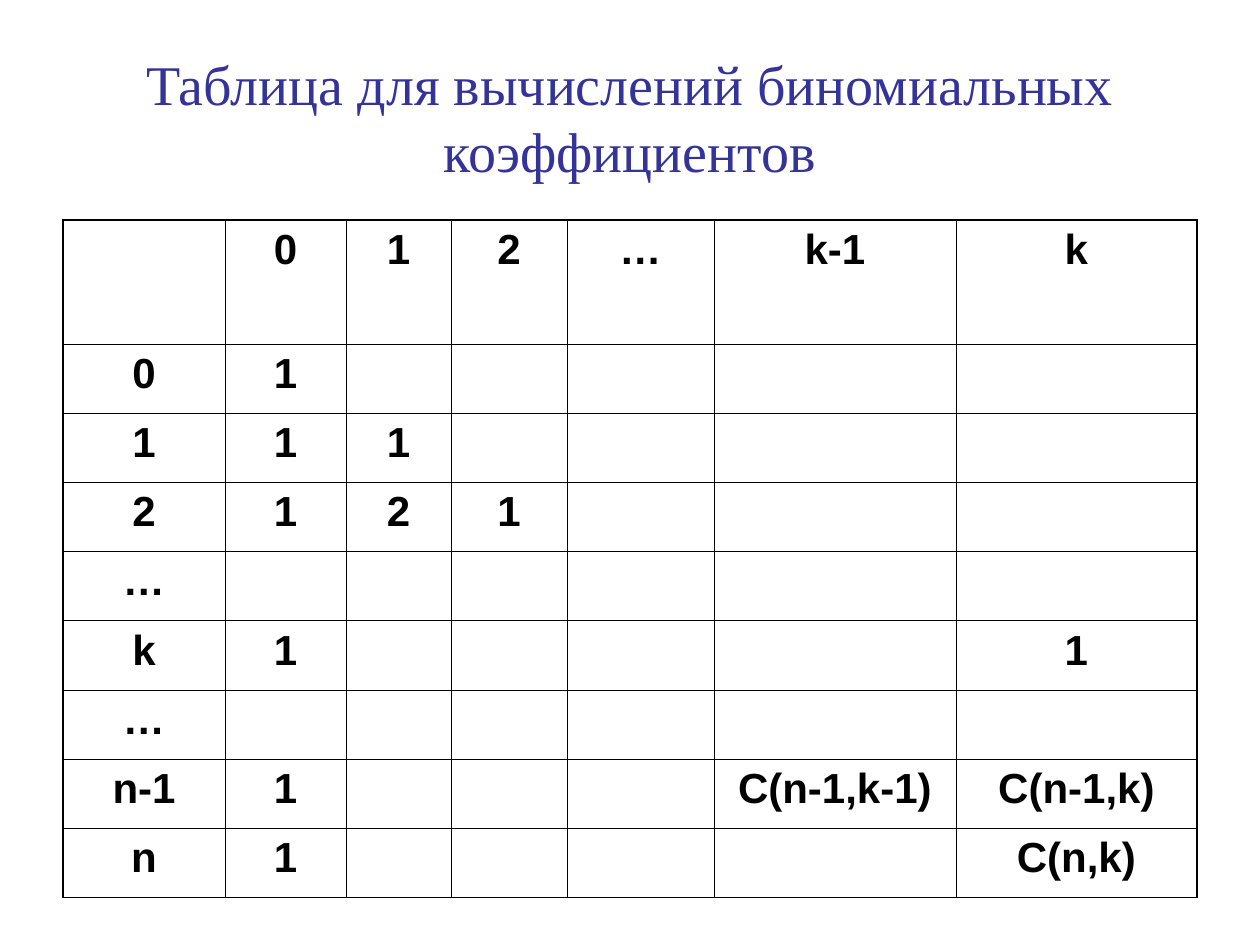
from dataclasses import dataclass

from lxml import etree
from pptx import Presentation
from pptx.dml.color import RGBColor
from pptx.enum.text import MSO_ANCHOR, MSO_AUTO_SIZE, PP_ALIGN
from pptx.oxml.ns import qn
from pptx.util import Emu, Pt

CENTER = PP_ALIGN.CENTER
MIDDLE = MSO_ANCHOR.MIDDLE
NO_AUTOFIT = MSO_AUTO_SIZE.NONE
TITLE_ONLY = 5
PX_PER_INCH = 126
SLIDE_SIZE = (1260, 945)
TITLE_BOX = (63, 38, 1134, 158)
TABLE_BOX = (63, 220, 1134, 678)

TITLE = "Таблица для вычислений биномиальных коэффициентов"
COLUMN_WIDTHS = [162, 121, 105, 116, 147, 242, 241]
HEADER_HEIGHT = 124
COEFFICIENTS = [
    ["", "0", "1", "2", "…", "k-1", "k"],
    ["0", "1", "", "", "", "", ""],
    ["1", "1", "1", "", "", "", ""],
    ["2", "1", "2", "1", "", "", ""],
    ["…", "", "", "", "", "", ""],
    ["k", "1", "", "", "", "", "1"],
    ["…", "", "", "", "", "", ""],
    ["n-1", "1", "", "", "", "C(n-1,k-1)", "C(n-1,k)"],
    ["n", "1", "", "", "", "", "C(n,k)"],
]


@dataclass(frozen=True)
class Theme:
    """Colours, fonts and sizes of the slide."""
    title_color: str = "333399"
    ink: str = "000000"
    title_font: str = "Times New Roman"
    table_font: str = "Arial"
    title_size: int = 32
    table_size: int = 24
    space_before: int = 6
    inner_line: float = 0.45
    outer_line: float = 1.08


THEME = Theme()


def px(length):
    """Turn pixels into EMU."""
    return Emu(round(length * 914400 / PX_PER_INCH))


def add_run(paragraph, text, font_name, size, color, bold):
    """Add one centred, formatted run to a paragraph."""
    paragraph.alignment = CENTER
    run = paragraph.add_run()
    run.text = text
    run.font.name = font_name
    run.font.size = Pt(size)
    run.font.bold = bold
    run.font.color.rgb = RGBColor.from_string(color)


def draw_border(cell, side, width):
    """Draw one solid border of a cell."""
    properties = cell._tc.get_or_add_tcPr()
    border = etree.SubElement(properties, qn(f"a:ln{side}"), w=str(Pt(width)))
    fill = etree.SubElement(border, qn("a:solidFill"))
    etree.SubElement(fill, qn("a:srgbClr"), val=THEME.ink)


def place_title(slide, box):
    """Place the slide title in its box."""
    title = slide.shapes.title
    title.left, title.top, title.width, title.height = map(px, box)
    frame = title.text_frame
    frame.auto_size = NO_AUTOFIT
    frame.word_wrap = True
    frame.vertical_anchor = MIDDLE
    add_run(frame.paragraphs[0], TITLE, THEME.title_font, THEME.title_size,
            THEME.title_color, False)


def fill_cell(cell, text, outer_sides):
    """Fill one cell with its text and borders."""
    for side in "LRTB":
        draw_border(cell, side, THEME.outer_line if side in outer_sides else THEME.inner_line)
    cell.fill.background()
    if text:
        entry = cell.text_frame.paragraphs[0]
        entry.space_before = Pt(THEME.space_before)
        add_run(entry, text, THEME.table_font, THEME.table_size, THEME.ink, True)


def place_coefficients(slide, box):
    """Place the table of binomial coefficients in its box."""
    row_count, column_count = len(COEFFICIENTS), len(COLUMN_WIDTHS)
    table = slide.shapes.add_table(row_count, column_count, *map(px, box)).table
    table.first_row = table.horz_banding = False
    for column, width in zip(table.columns, COLUMN_WIDTHS):
        column.width = px(width)
    body_height = (box[3] - HEADER_HEIGHT) / (row_count - 1)
    for r, entries in enumerate(COEFFICIENTS):
        table.rows[r].height = px(body_height if r else HEADER_HEIGHT)
        for c, text in enumerate(entries):
            edges = {"L": c == 0, "R": c == column_count - 1,
                     "T": r == 0, "B": r == row_count - 1}
            fill_cell(table.cell(r, c), text, [side for side in edges if edges[side]])


def main():
    """Build and save the slide."""
    deck = Presentation()
    deck.slide_width, deck.slide_height = map(px, SLIDE_SIZE)
    slide = deck.slides.add_slide(deck.slide_layouts[TITLE_ONLY])
    place_title(slide, TITLE_BOX)
    place_coefficients(slide, TABLE_BOX)
    deck.save("out.pptx")


if __name__ == "__main__":
    main()
